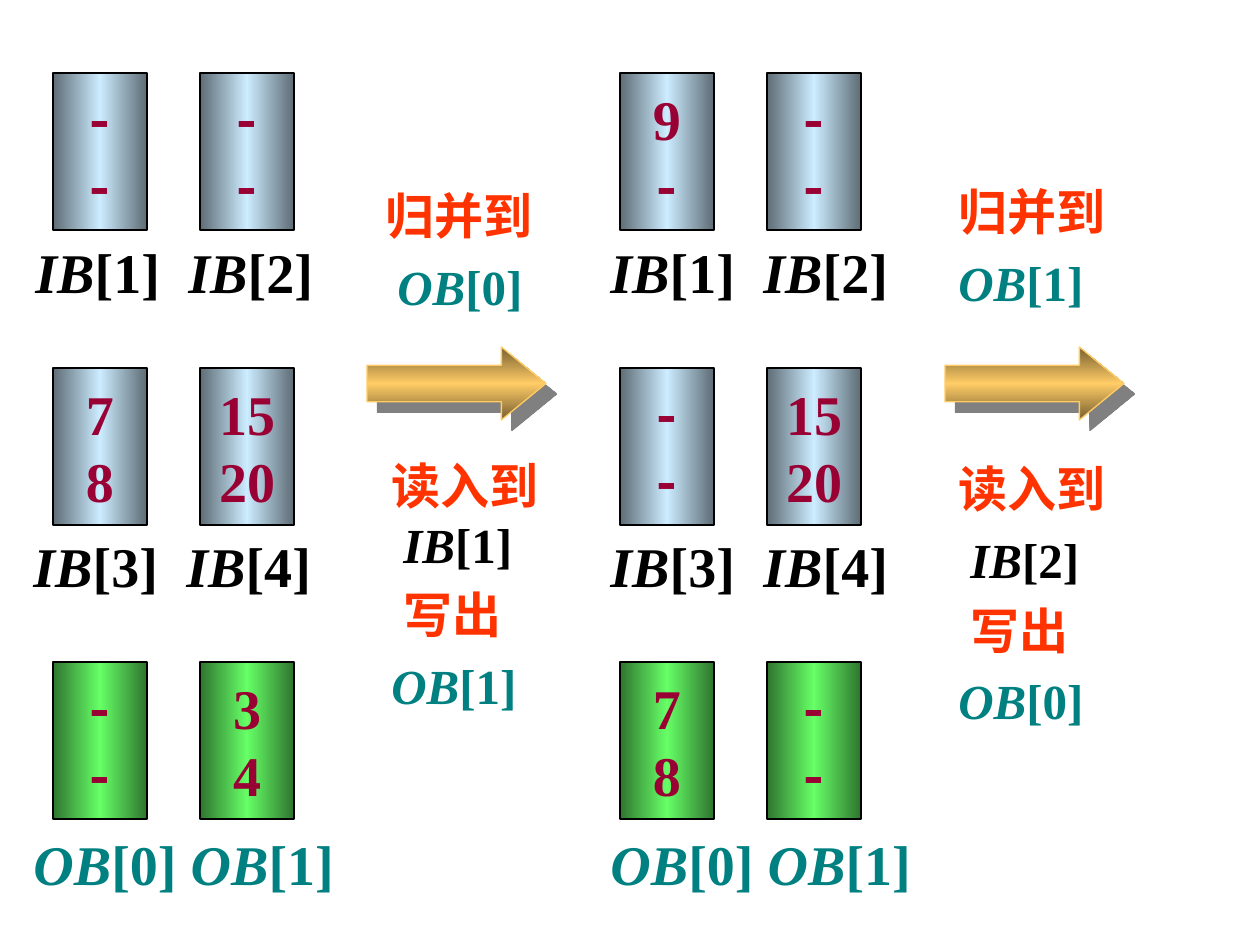
import copy
import itertools
from dataclasses import dataclass

import lxml.etree
import pptx
import pptx.dml.color
import pptx.enum.shapes
import pptx.enum.text
import pptx.oxml.ns
import pptx.shapes.autoshape
import pptx.slide
import pptx.text.text
import pptx.util

SCALE = 914400 / 126
WIDE, HIGH = 94, 157
PITCH = 147
ROWS = (73, 368, 662)
TAB = 153
SHAPES = pptx.enum.shapes.MSO_SHAPE
ALIGN = pptx.enum.text.PP_ALIGN
qn = pptx.oxml.ns.qn


@dataclass(frozen=True)
class Theme:
    blue: tuple[str, str] = ("5E6C75", "CCECFF")
    green: tuple[str, str] = ("2F752F", "66FF66")
    gold: tuple[str, str] = ("755E2F", "FFCC66")
    black: str = "000000"
    teal: str = "008080"
    red: str = "FF3300"
    wine: str = "990033"
    shade: str = "808080"
    serif: str = "Times New Roman"
    sans: str = "Noto Sans CJK SC"
    large: int = 32
    small: int = 28
    thin: float = 0.74


THEME = Theme()


@dataclass(frozen=True)
class Line:
    text: str
    indent: int = 0
    space: float = 1.2


@dataclass(frozen=True)
class Note:
    left: int
    top: int
    width: int
    height: int
    lines: tuple[Line, ...]
    size: int = THEME.small


@dataclass(frozen=True)
class Panel:
    left: int
    label_lefts: tuple[int, int, int]
    arrow: int
    cells: tuple[tuple[str, str], ...]
    notes: tuple[Note, ...]


def px(value: float) -> pptx.util.Emu:
    return pptx.util.Emu(round(value * SCALE))


def rgb(value: str) -> pptx.dml.color.RGBColor:
    return pptx.dml.color.RGBColor.from_string(value)


def style(para: pptx.text.text._Paragraph, size: int, face: str) -> None:
    para.font.size = pptx.util.Pt(size)
    para.font.name = face
    para.font.bold = True


def paint(shape: pptx.shapes.autoshape.Shape, pair: tuple[str, str], angle: int, edge: str) -> None:
    shape.shadow.inherit = False
    shape.fill.gradient()
    shape.fill.gradient_angle = angle
    stops = shape._element.spPr.find(".//" + qn("a:gsLst"))
    stops.insert(1, copy.deepcopy(stops[0]))
    dark, light = pair
    for stop, tone, place in zip(shape.fill.gradient_stops, (dark, light, dark), (0, 0.5, 1)):
        stop.color.rgb = rgb(tone)
        stop.position = place
    shape.line.color.rgb = rgb(edge)
    shape.line.width = pptx.util.Pt(THEME.thin)


def add_cell(slide: pptx.slide.Slide, left: int, top: int, text: str, pair: tuple[str, str]) -> None:
    cell = slide.shapes.add_shape(SHAPES.RECTANGLE, px(left), px(top), px(WIDE), px(HIGH))
    paint(cell, pair, 0, THEME.black)
    frame = cell.text_frame
    frame.word_wrap = False
    frame.vertical_anchor = pptx.enum.text.MSO_ANCHOR.MIDDLE
    frame.text = text
    for para in frame.paragraphs:
        style(para, THEME.large, THEME.sans if para.text == "-" else THEME.serif)
        para.alignment = ALIGN.CENTER
        para.font.color.rgb = rgb(THEME.wine)


def add_note(slide: pptx.slide.Slide, note: Note) -> None:
    box = slide.shapes.add_textbox(px(note.left), px(note.top), px(note.width), px(note.height))
    frame = box.text_frame
    frame.word_wrap = True
    for spot, line in enumerate(note.lines):
        para = frame.add_paragraph() if spot else frame.paragraphs[0]
        style(para, note.size, THEME.serif)
        para.line_spacing = line.space
        para.font.color.rgb = rgb({"IB": THEME.black, "OB": THEME.teal}.get(line.text[:2], THEME.red))
        props = para._p.get_or_add_pPr()
        if line.indent:
            props.set("marL", str(px(line.indent)))
            props.set("indent", "0")
        if "\t" in line.text:
            tabs = lxml.etree.Element(qn("a:tabLst"))
            lxml.etree.SubElement(tabs, qn("a:tab"), pos=str(px(TAB)), algn="l")
            props.find(qn("a:defRPr")).addprevious(tabs)
        for slant, chars in itertools.groupby(line.text, key=lambda char: char in "IOB"):
            run = para.add_run()
            run.text = "".join(chars)
            run.font.italic = slant


def add_arrow(slide: pptx.slide.Slide, left: int) -> None:
    arrow = slide.shapes.add_shape(SHAPES.RIGHT_ARROW, px(left), px(347), px(179), px(73))
    arrow.adjustments[0] = 0.5
    arrow.adjustments[1] = 0.61
    paint(arrow, THEME.gold, 90, THEME.gold[1])
    effects = arrow._element.spPr.find(qn("a:effectLst"))
    shadow = lxml.etree.SubElement(
        effects, qn("a:outerShdw"), dist=str(pptx.util.Pt(8.5)), dir="2700000", algn="ctr", rotWithShape="0"
    )
    lxml.etree.SubElement(shadow, qn("a:srgbClr"), val=THEME.shade)


def add_panel(slide: pptx.slide.Slide, panel: Panel) -> None:
    labels = (("IB[1]\tIB[2]", 310, 158), ("IB[3]\tIB[4]", 310, 157), ("OB[0] OB[1]", 333, 161))
    pairs = (THEME.blue, THEME.blue, THEME.green)
    for top, cells, pair, left, label in zip(ROWS, panel.cells, pairs, panel.label_lefts, labels):
        for col, text in enumerate(cells):
            add_cell(slide, panel.left + col * PITCH, top, text, pair)
        text, width, drop = label
        add_note(slide, Note(left, top + drop, width, 81, (Line(text, space=1.0),), THEME.large))
    add_arrow(slide, panel.arrow)
    for note in panel.notes:
        add_note(slide, note)


PANELS = (
    Panel(
        53, (23, 21, 21), 367,
        (("-\n-", "-\n-"), ("7\n8", "15\n20"), ("-\n-", "3\n4")),
        (
            Note(373, 168, 179, 154, (Line("归并到"), Line("OB[0]", 12))),
            Note(379, 449, 179, 272,
                 (Line("读入到", space=1.0), Line("IB[1]", 12, 1.0), Line("写出", 12), Line("OB[1]"))),
        ),
    ),
    Panel(
        620, (598, 598, 598), 945,
        (("9\n-", "-\n-"), ("-\n-", "15\n20"), ("7\n8", "-\n-")),
        (
            Note(946, 164, 179, 154, (Line("归并到"), Line("OB[1]"))),
            Note(946, 441, 179, 295,
                 (Line("读入到"), Line("IB[2]", 12), Line("写出", 12), Line("OB[0]"))),
        ),
    ),
)

deck = pptx.Presentation()
deck.slide_width, deck.slide_height = px(1260), px(945)
page = deck.slides.add_slide(deck.slide_layouts[6])
for panel in PANELS:
    add_panel(page, panel)
deck.save("out.pptx")
